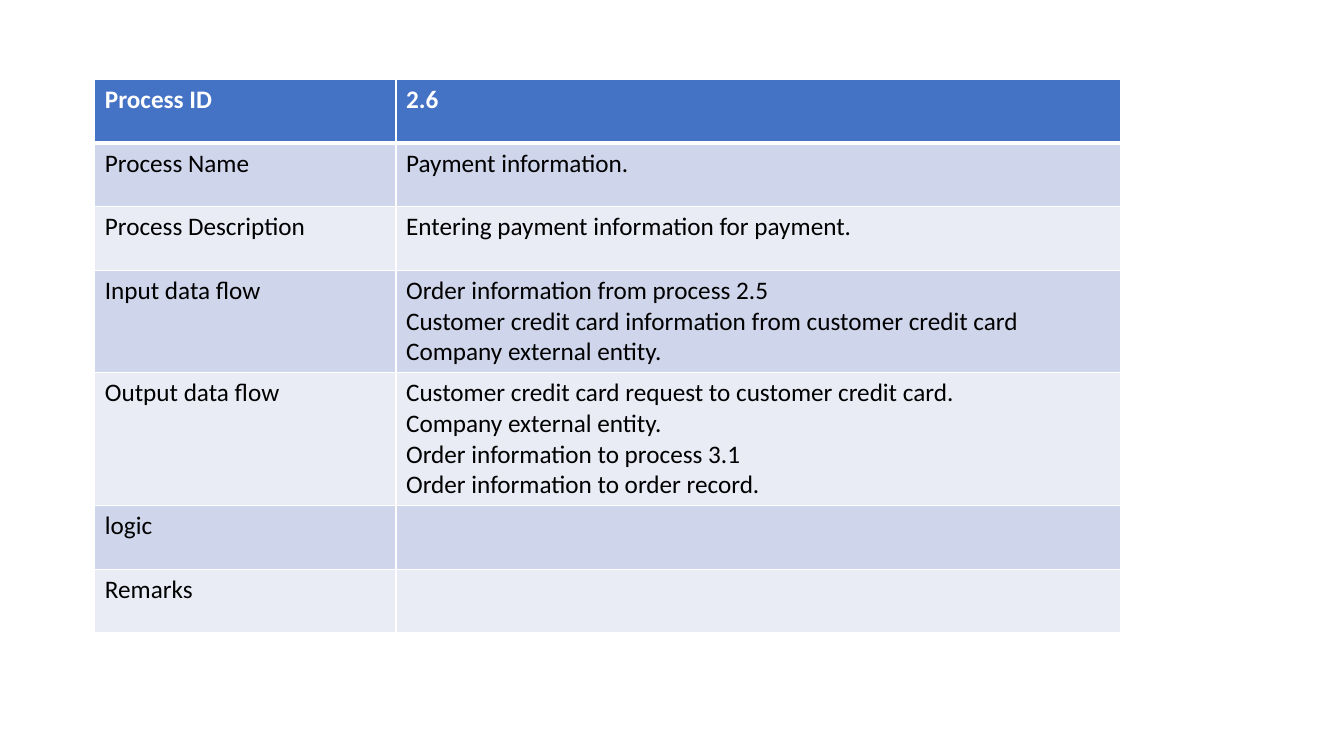
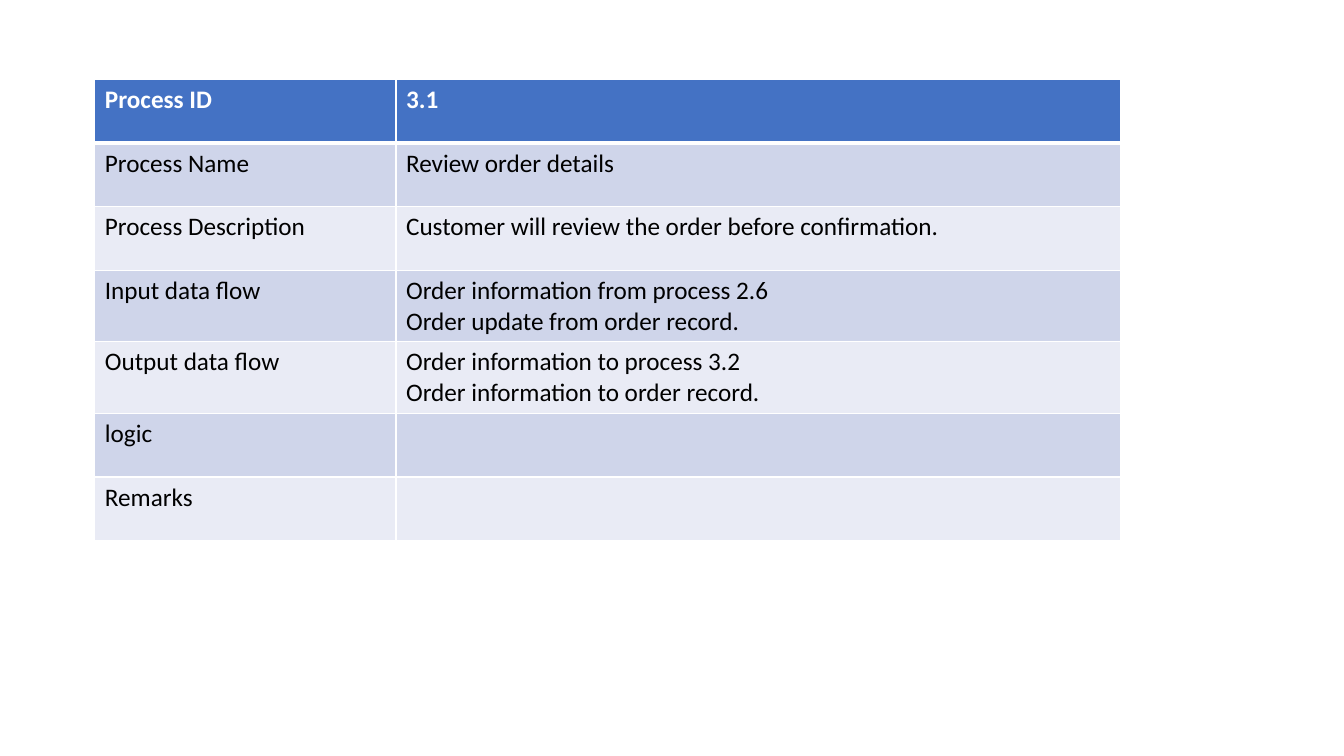
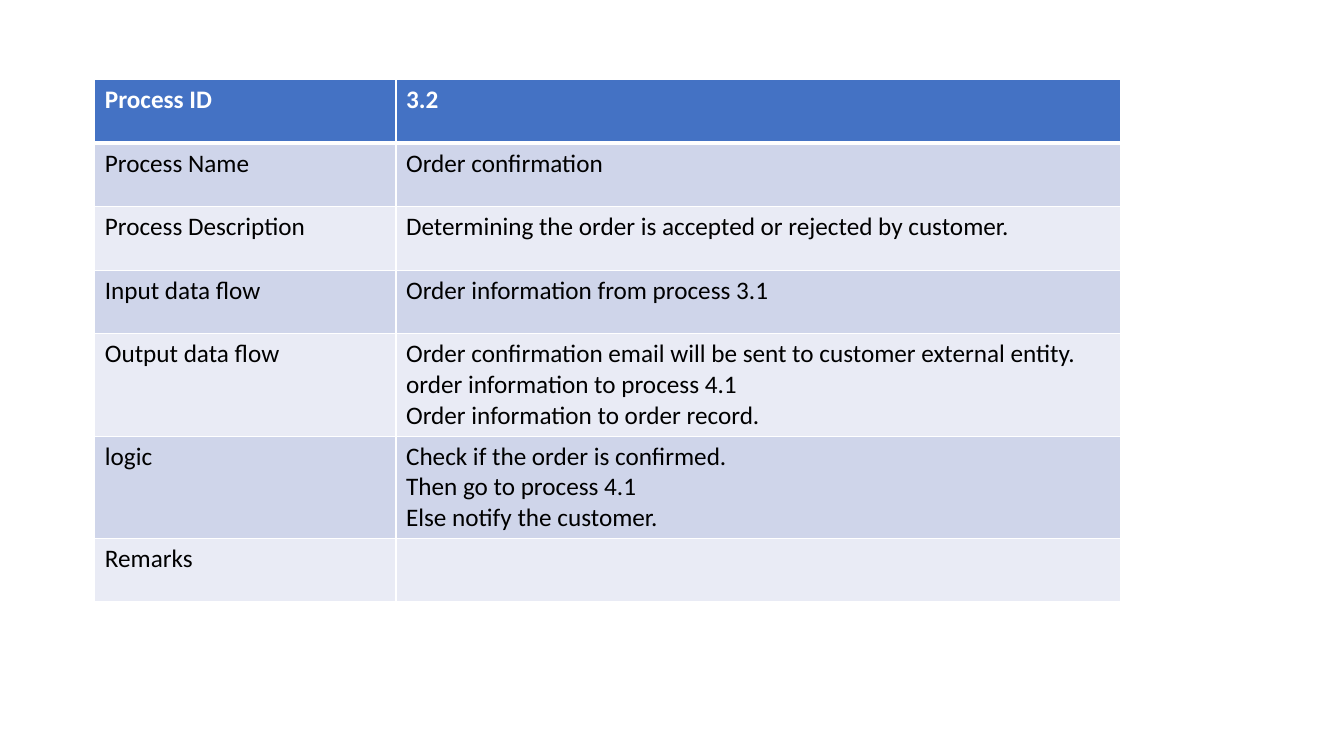
import pptx
import pptx.util
import pptx.dml.color
import pptx.oxml
from pptx.oxml.ns import qn

COLORS = {
    "header": "4472C4",
    "band_dark": "CFD5EA",
    "band_light": "E9EBF5",
    "grid": "FFFFFF",
    "header_text": "FFFFFF",
    "body_text": "000000",
}
FONT = "Calibri"
Cm = pptx.util.Cm

LABELS = ["Process ID", "Process Name", "Process Description",
          "Input data flow", "Output data flow", "logic", "Remarks"]

# Each process lists its entries in the order of LABELS, one string per line
PROCESSES = [
    [
        ["2.6"],
        ["Payment information."],
        ["Entering payment information for payment."],
        ["Order information from process 2.5",
         "Customer credit card information from customer credit card",
         "Company external entity."],
        ["Customer credit card request to customer credit card.",
         "Company external entity.",
         "Order information to process 3.1",
         "Order information to order record."],
        [],
        [],
    ],
    [
        ["3.1"],
        ["Review order details"],
        ["Customer will review the order before confirmation."],
        ["Order information from process 2.6",
         "Order update from order record."],
        ["Order information to process 3.2",
         "Order information to order record."],
        [],
        [],
    ],
    [
        ["3.2"],
        ["Order confirmation"],
        ["Determining the order is accepted or rejected by customer."],
        ["Order information from process 3.1"],
        ["Order confirmation email will be sent to customer external entity.",
         "order information to process 4.1",
         "Order information to order record."],
        ["Check if the order is confirmed.",
         "Then go to process 4.1",
         "Else notify the customer."],
        [],
    ],
]

TABLE_LEFT, TABLE_TOP = Cm(2.39), Cm(2.01)
COLUMN_WIDTHS = [Cm(7.59), Cm(18.26)]
ROW_HEIGHT, LINE_HEIGHT, CELL_PADDING = Cm(1.6), Cm(0.76), Cm(0.25)


def rgb(name):
    return pptx.dml.color.RGBColor.from_string(COLORS[name])


def write_text(frame, lines, size=18, color="body_text", bold=False):
    """Write one paragraph per line."""
    for index, line in enumerate(lines):
        paragraph = frame.add_paragraph() if index else frame.paragraphs[0]
        run = paragraph.add_run()
        run.text = line
        run.font.name = FONT
        run.font.size = pptx.util.Pt(size)
        run.font.bold = bold
        run.font.color.rgb = rgb(color)


def set_borders(cell, **widths):
    """Draw the named edges; they must precede the fill in the cell's XML."""
    properties = cell._tc.get_or_add_tcPr()
    for position, (edge, points) in enumerate(widths.items()):
        border = pptx.oxml.parse_xml(
            '<a:%s xmlns:a="http://schemas.openxmlformats.org/drawingml/2006/main" w="%d">'
            '<a:solidFill><a:srgbClr val="%s"/></a:solidFill></a:%s>'
            % (edge, pptx.util.Pt(points), COLORS["grid"], edge))
        properties.insert(position, border)


def add_process_table(slide, left, top, column_widths, entries):
    table_frame = slide.shapes.add_table(
        len(LABELS), len(column_widths), left, top,
        sum(column_widths), ROW_HEIGHT * len(LABELS))
    table = table_frame.table
    for column, width in zip(table.columns, column_widths):
        column.width = width

    for row, (label, entry) in enumerate(zip(LABELS, entries)):
        table.rows[row].height = ROW_HEIGHT
        is_header = row == 0
        band = "header" if is_header else "band_dark" if row % 2 else "band_light"
        for cell, lines in zip(table.rows[row].cells, ([label], entry)):
            cell.fill.solid()
            cell.fill.fore_color.rgb = rgb(band)
            # The rule under the header is thicker than the grid
            set_borders(cell, lnL=1, lnR=1, lnT=3 if row == 1 else 1,
                        lnB=3 if is_header else 1)
            write_text(cell.text_frame, lines, bold=is_header,
                       color="header_text" if is_header else "body_text")

    # Rows with several lines grow past the common height
    table_frame.height = sum(
        max(ROW_HEIGHT, CELL_PADDING + LINE_HEIGHT * len(entry)) for entry in entries)


presentation = pptx.Presentation()
presentation.slide_width = Cm(33.87)
presentation.slide_height = Cm(19.05)
blank_layout = presentation.slide_layouts[6]

for process in PROCESSES:
    process_slide = presentation.slides.add_slide(blank_layout)
    add_process_table(process_slide, TABLE_LEFT, TABLE_TOP, COLUMN_WIDTHS, process)

presentation.save("out.pptx")
